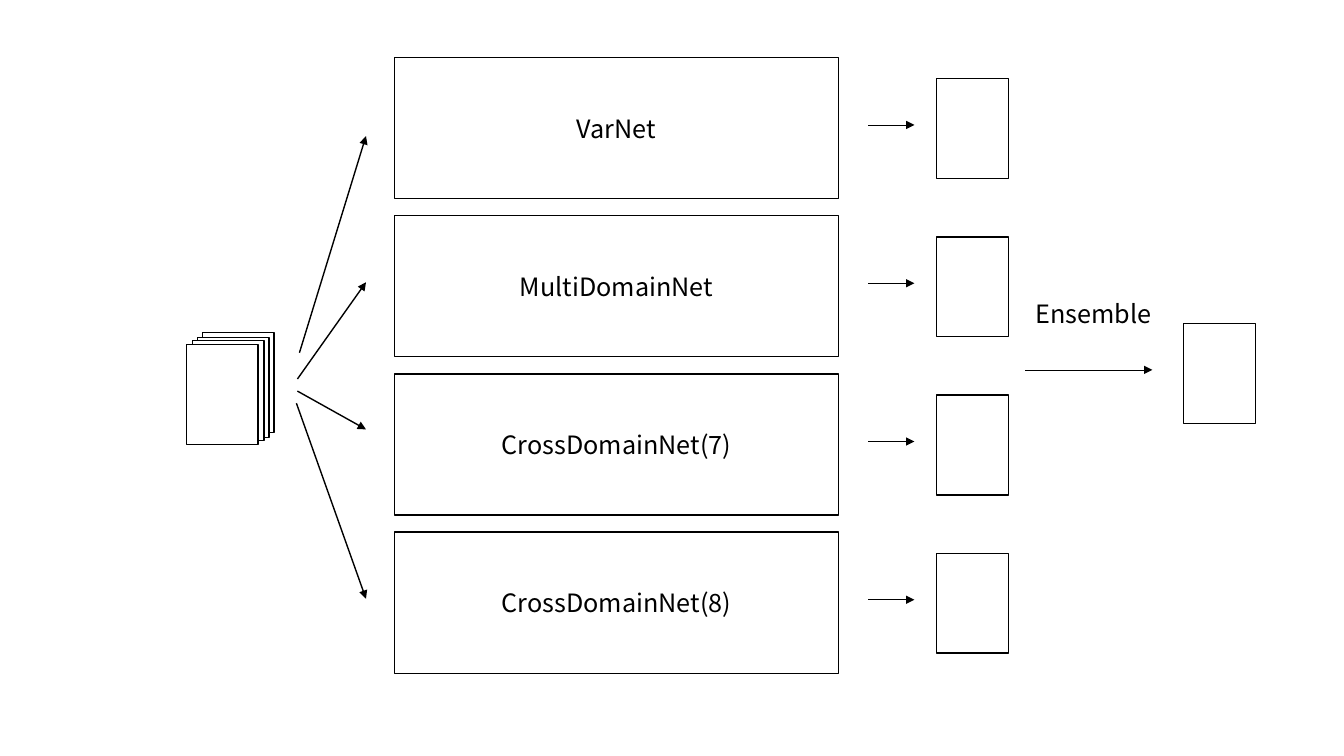
from lxml import etree
from pptx import Presentation
from pptx import util as u
from pptx.dml.color import RGBColor
from pptx.enum import shapes, text
from pptx.oxml import ns

BLACK = RGBColor.from_string("000000")
WHITE = RGBColor.from_string("FFFFFF")
FONT = {"name": "Noto Sans CJK KR", "size": u.Pt(18)}


def write(box, label, alignment):
    para = box.text_frame.paragraphs[0]
    para.alignment = alignment
    span = para.add_run()
    span.text = label
    for key, value in FONT.items():
        setattr(span.font, key, value)
    span.font.color.rgb = BLACK


def draw_arrow(page, start, end, weight):
    points = [u.Inches(value) for value in (*start, *end)]
    arrow = page.shapes.add_connector(shapes.MSO_CONNECTOR.STRAIGHT, *points)
    arrow.line.color.rgb = BLACK
    arrow.line.width = u.Pt(weight)
    etree.SubElement(arrow.line._get_or_add_ln(), ns.qn("a:tailEnd"), type="triangle")
    etree.SubElement(arrow._element.spPr, ns.qn("a:effectLst"))


deck = Presentation()
deck.slide_width = u.Inches(13.33)
deck.slide_height = u.Inches(7.5)
page = deck.slides.add_slide(deck.slide_layouts[6])

networks = ["VarNet", "MultiDomainNet", "CrossDomainNet(7)", "CrossDomainNet(8)"]
row_tops = [0.57 + 1.57 * row for row in range(len(networks))]
sheet_size = (0.71, 0.99)

input_sheets = [(2.01, 3.3), (1.96, 3.35), (1.91, 3.38), (1.85, 3.42)]
output_sheets = [(9.29, top + 0.21) for top in row_tops]
ensemble_sheet = (11.74, 3.21)

boxes = [(3.91, top, 4.41, 1.4, name) for top, name in zip(row_tops, networks)]
boxes += [(*corner, *sheet_size, "") for corner in input_sheets + output_sheets + [ensemble_sheet]]
for *frame, label in boxes:
    box = page.shapes.add_shape(
        shapes.MSO_SHAPE.RECTANGLE, *[u.Inches(value) for value in frame]
    )
    box.shadow.inherit = False
    box.fill.solid()
    box.fill.fore_color.rgb = WHITE
    box.line.color.rgb = BLACK
    box.line.width = u.Pt(1)
    if label:
        box.text_frame.vertical_anchor = text.MSO_ANCHOR.MIDDLE
        write(box, label, text.PP_ALIGN.CENTER)

input_starts = [(2.97, 3.5), (2.95, 3.76), (2.95, 3.88), (2.94, 4)]
for start, end_y in zip(input_starts, [1.35, 2.8, 4.26, 5.94]):
    draw_arrow(page, start, (3.63, end_y), 1)

for top in row_tops:
    draw_arrow(page, (8.61, top + 0.67), (9.07, top + 0.67), 0.5)

draw_arrow(page, (10.17, 3.67), (11.43, 3.67), 0.5)

caption = page.shapes.add_textbox(
    u.Inches(10.17), u.Inches(2.91), u.Inches(1.57), u.Inches(0.4)
)
caption.text_frame.word_wrap = True
caption.text_frame.auto_size = text.MSO_AUTO_SIZE.SHAPE_TO_FIT_TEXT
write(caption, "Ensemble", text.PP_ALIGN.LEFT)

deck.save("out.pptx")
